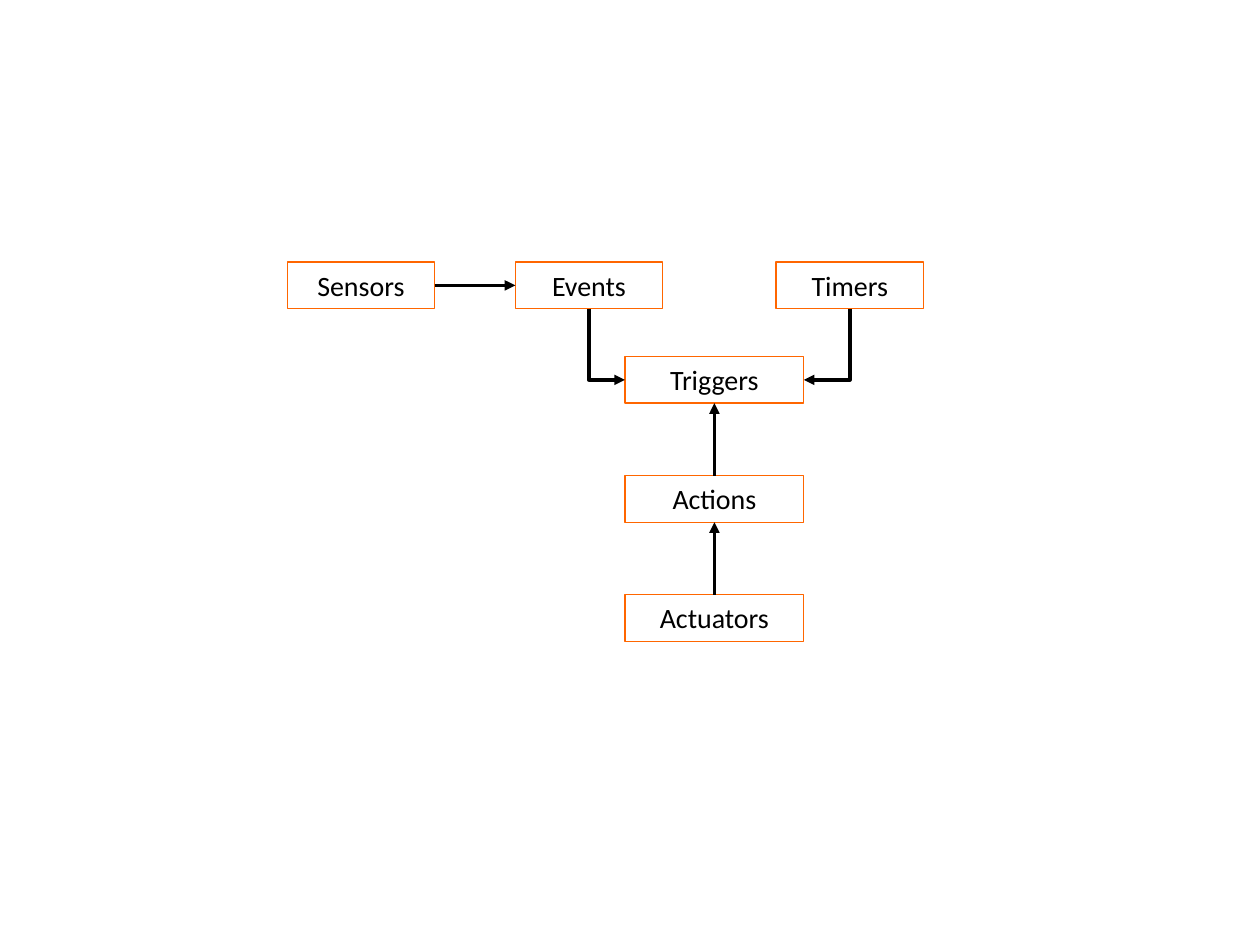
from lxml.etree import SubElement
from pptx import Presentation
from pptx.dml.color import RGBColor
from pptx.enum.shapes import MSO_CONNECTOR as CONNECTOR, MSO_SHAPE as SHAPE
from pptx.enum.text import MSO_ANCHOR as ANCHOR, MSO_AUTO_SIZE as AUTO_SIZE, PP_ALIGN as ALIGN
from pptx.oxml.ns import qn
from pptx.util import Inches, Pt

COLORS = {"border": "FF6600", "ink": "000000"}
TEXT_FORMAT = {"name": "Calibri", "size": Pt(16)}
FRAME_FORMAT = {
    "word_wrap": True,
    "auto_size": AUTO_SIZE.SHAPE_TO_FIT_TEXT,
    "vertical_anchor": ANCHOR.TOP,
}
TOP, LEFT, BOTTOM, RIGHT = range(4)
BOX_HEIGHT = 0.37
SOURCE_TOP, SOURCE_WIDTH = 2.08, 1.17
SOURCES = {"Sensors": 2.28, "Events": 4.09, "Timers": 6.16}
STACK_LEFT, STACK_TOP, STACK_WIDTH, STACK_STEP = 4.96, 2.83, 1.42, 0.945
STACK = ["Triggers", "Actions", "Actuators"]
STRAIGHT_ARROWS = [
    ("Sensors", RIGHT, "Events", LEFT),
    ("Actions", TOP, "Triggers", BOTTOM),
    ("Actuators", TOP, "Actions", BOTTOM),
]
BENT_ARROWS = [("Events", BOTTOM, "Triggers", LEFT), ("Timers", BOTTOM, "Triggers", RIGHT)]


def color(name):
    return RGBColor.from_string(COLORS[name])


def apply_format(target, values):
    for name, value in values.items():
        setattr(target, name, value)


def add_box(slide, text, left, top, width):
    shape = slide.shapes.add_shape(
        SHAPE.RECTANGLE, Inches(left), Inches(top), Inches(width), Inches(BOX_HEIGHT)
    )
    shape.shadow.inherit = False
    shape.fill.background()
    shape.line.color.rgb = color("border")
    shape.line.width = Pt(0)
    apply_format(shape.text_frame, FRAME_FORMAT)
    paragraph = shape.text_frame.paragraphs[0]
    paragraph.alignment = ALIGN.CENTER
    run = paragraph.add_run()
    run.text = text
    apply_format(run.font, TEXT_FORMAT)
    run.font.color.rgb = color("ink")
    return shape


def add_arrow(slide, boxes, start, start_side, end, end_side, kind=CONNECTOR.STRAIGHT):
    connector = slide.shapes.add_connector(kind, 0, 0, 0, 0)
    connector.begin_connect(boxes[start], start_side)
    connector.end_connect(boxes[end], end_side)
    connector.line.color.rgb = color("ink")
    connector.line.width = Pt(0)
    properties = connector.element.spPr
    SubElement(properties.find(qn("a:ln")), qn("a:tailEnd"), type="triangle")
    SubElement(properties, qn("a:effectLst"))
    return connector


def bend_down_then_across(connector):
    run, drop = connector.end_x - connector.begin_x, connector.end_y - connector.begin_y
    center_x = (connector.begin_x + connector.end_x) // 2
    center_y = (connector.begin_y + connector.end_y) // 2
    across = abs(run)
    apply_format(connector, {
        "left": center_x - drop // 2,
        "top": center_y - across // 2,
        "width": drop,
        "height": across,
    })
    properties = connector.element.spPr
    apply_format(properties.xfrm, {
        "rot": 270 if run > 0 else 90,
        "flipH": run > 0,
        "flipV": False,
    })
    properties.find(qn("a:prstGeom")).set("prst", "bentConnector2")


def main():
    presentation = Presentation()
    presentation.slide_width, presentation.slide_height = Inches(10), Inches(7.5)
    slide = presentation.slides.add_slide(presentation.slide_layouts[6])
    boxes = {
        text: add_box(slide, text, left, SOURCE_TOP, SOURCE_WIDTH)
        for text, left in SOURCES.items()
    }
    for row, text in enumerate(STACK):
        boxes[text] = add_box(slide, text, STACK_LEFT, STACK_TOP + row * STACK_STEP, STACK_WIDTH)
    for arrow in STRAIGHT_ARROWS:
        add_arrow(slide, boxes, *arrow)
    for arrow in BENT_ARROWS:
        bend_down_then_across(add_arrow(slide, boxes, *arrow, kind=CONNECTOR.ELBOW))
    presentation.save("out.pptx")


if __name__ == "__main__":
    main()
